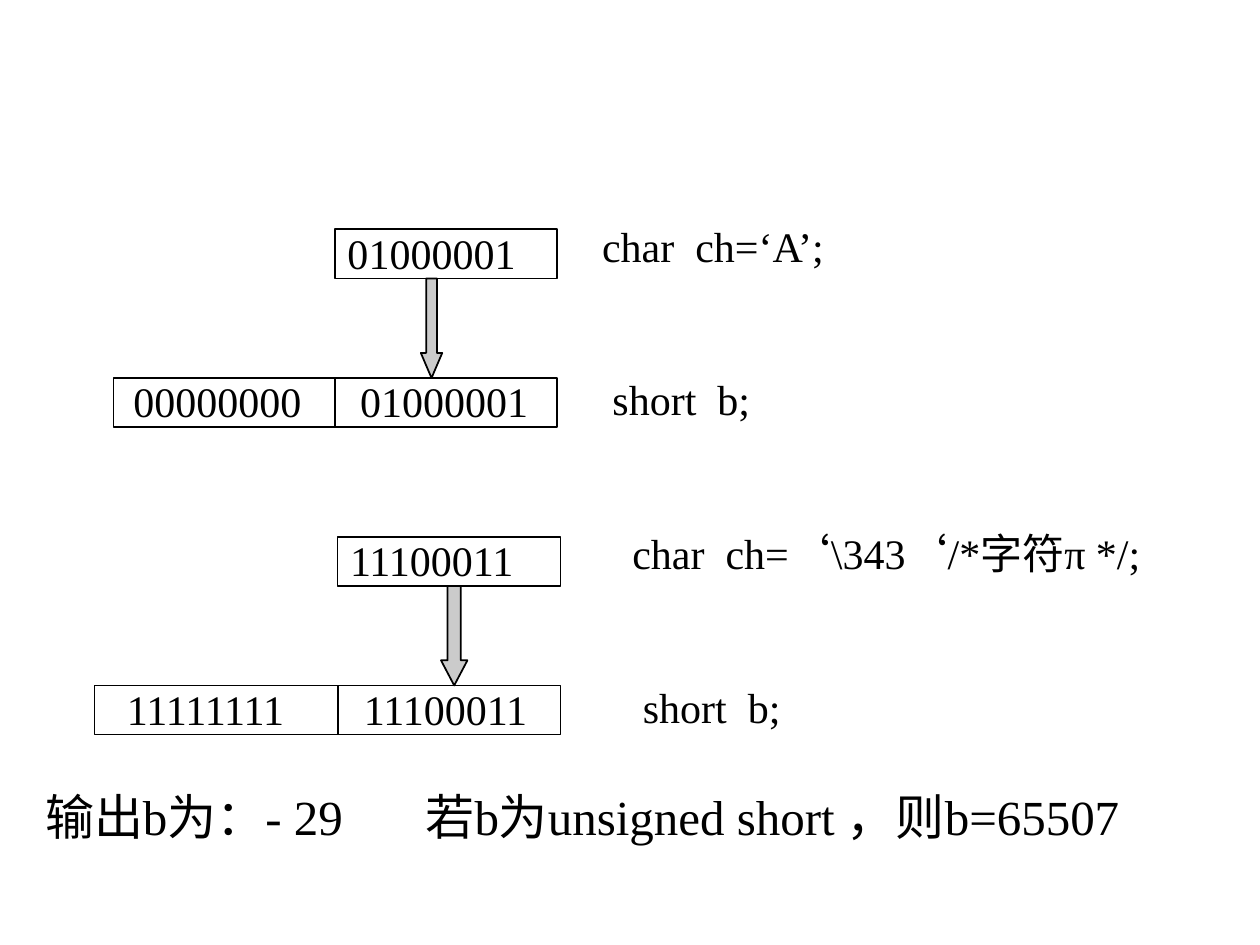
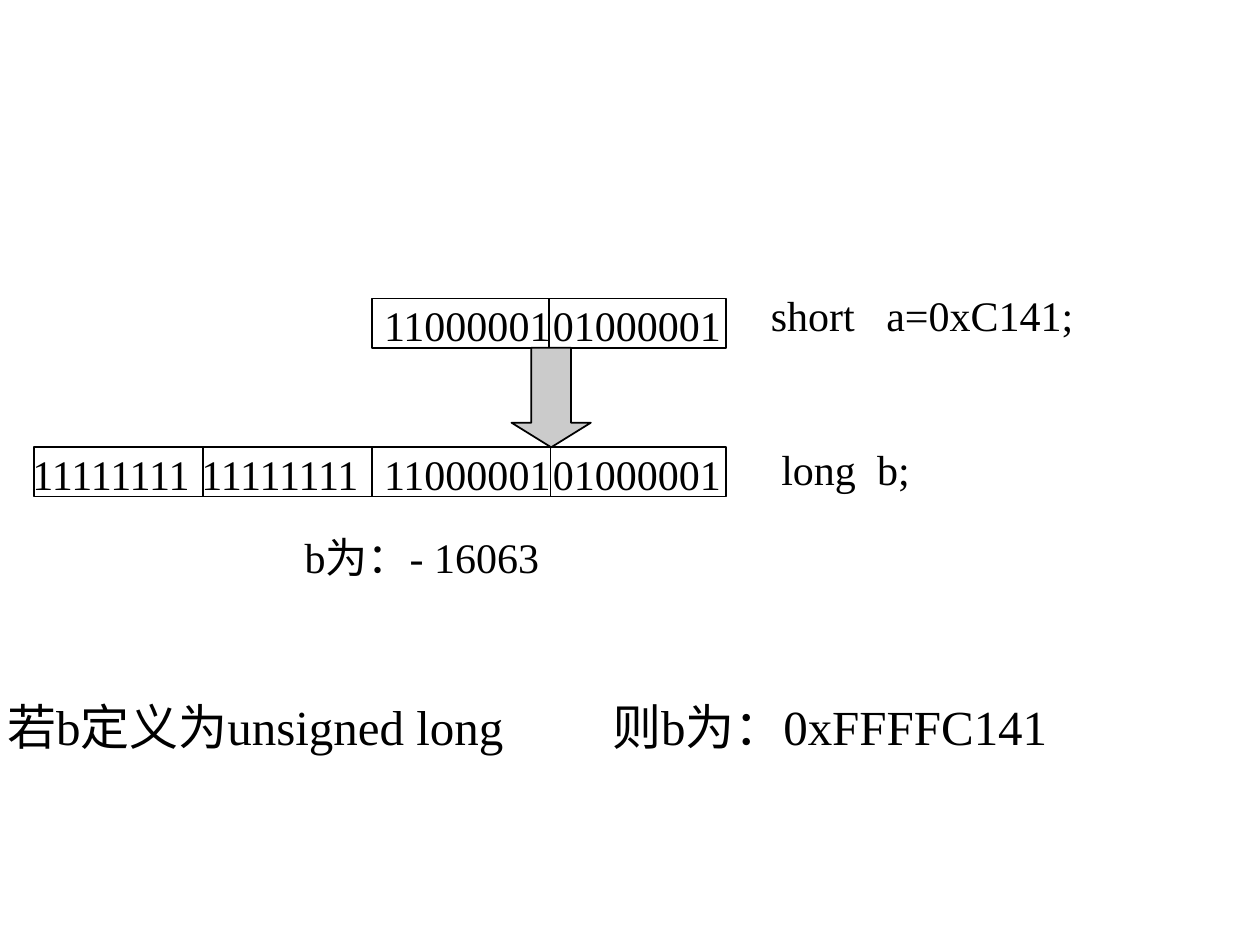
"""Builds two slides on how char and short values are widened by sign extension."""
import pptx
import pptx.dml.color
import pptx.enum.shapes
import pptx.oxml.ns
import pptx.oxml.xmlchemy
import pptx.util

BLACK = pptx.dml.color.RGBColor(0x00, 0x00, 0x00)
GRAY = pptx.dml.color.RGBColor(0xCB, 0xCB, 0xCB)
SHAPE = pptx.enum.shapes.MSO_SHAPE

deck = pptx.Presentation()
deck.slide_width = pptx.util.Inches(10)
deck.slide_height = pptx.util.Inches(7.5)
COLUMN = deck.slide_width / 100
ROW = deck.slide_height / 75

BAR_ROWS = 3.9
BAR_STEP = 11.8
LABEL_RISE = 1.2
WORD_COLUMNS = 16.4


def add_text(page, left, top, width, lines, size=24, tab=None):
    """Adds a text box with one paragraph per line, the later ones set lower."""
    box = page.shapes.add_textbox(
        round(left * COLUMN), round(top * ROW), round(width * COLUMN), round(5 * ROW))
    box.text_frame.word_wrap = True
    box.text_frame.text = "\n".join(lines)
    for index, para in enumerate(box.text_frame.paragraphs):
        if index:
            para.space_before = pptx.util.Pt(59)
        if tab:
            stops = pptx.oxml.xmlchemy.OxmlElement("a:tabLst")
            stop = pptx.oxml.xmlchemy.OxmlElement("a:tab")
            stop.set("pos", str(round(tab * COLUMN)))
            stop.set("algn", "l")
            stops.append(stop)
            para._p.get_or_add_pPr().append(stops)
        for span in para.runs:
            style = {"name": "Times New Roman", "size": pptx.util.Pt(size)}
            for key, value in style.items():
                setattr(span.font, key, value)
            span.font.color.rgb = BLACK


def add_block(page, kind, left, top, width, height, fill=None):
    """Adds an outlined shape, left hollow when no fill is given."""
    block = page.shapes.add_shape(
        kind, round(left * COLUMN), round(top * ROW), round(width * COLUMN), round(height * ROW))
    block.shadow.inherit = False
    if fill is None:
        block.fill.background()
    else:
        block.fill.solid()
        block.fill.fore_color.rgb = fill
    block.line.color.rgb = BLACK
    block.line.width = pptx.util.Pt(1)
    return block


slides = [
    {
        "diagrams": [
            {
                "top": 18.2, "label": (46.8, 32.7, ["char  ch=‘A’;", " short  b;"]),
                "arrow": (33.4, 1.7, 1.17), "word_rise": 0.65,
                "bars": [
                    (26.6, 17.6, [], [(26.6, "01000001")]),
                    (9, 35.2, [26.6], [(9.6, "00000000"), (27.6, "01000001")]),
                ],
            },
            {
                "top": 42.6, "label": (49.2, 50.8, ["char  ch=‘\\343‘/*字符π */;", " short  b;"]),
                "arrow": (35, 2.1, 0.95), "word_rise": 0.65,
                "bars": [
                    (26.8, 17.7, [], [(26.8, "11100011")]),
                    (7.5, 37, [26.8], [(9.1, "11111111"), (27.9, "11100011")]),
                ],
            },
        ],
        "notes": [(2.6, 61.9, 96, "输出b为：- 29\t若b为unsigned short ，则b=65507", 28, 30.2)],
    },
    {
        "diagrams": [
            {
                "top": 23.7, "label": (60.2, 32.7, ["short   a=0xC141;", " long  b;"]),
                "arrow": (40.6, 6.3, 0.31), "word_rise": 0.4,
                "bars": [
                    (29.5, 28.1, [43.6], [(29.5, "11000001"), (42.9, "01000001")]),
                    (2.7, 54.9, [16.1, 29.5, 43.7],
                     [(1.6, "11111111"), (15, "11111111"), (29.5, "11000001"), (42.9, "01000001")]),
                ],
            },
        ],
        "notes": [
            (23.2, 41.7, 23, "b为：- 16063", 24, None),
            (-0.4, 54.8, 92, "若b定义为unsigned long\t则b为：0xFFFFC141", 28, 48),
        ],
    },
]

for slide in slides:
    page = deck.slides.add_slide(deck.slide_layouts[6])
    for diagram in slide["diagrams"]:
        label_left, label_width, label_lines = diagram["label"]
        add_text(page, label_left, diagram["top"] - LABEL_RISE, label_width, label_lines)

        for row, (left, width, dividers, words) in enumerate(diagram["bars"]):
            top = diagram["top"] + row * BAR_STEP
            bar = add_block(page, SHAPE.RECTANGLE, left, top, width, BAR_ROWS)
            for x in dividers:
                divider = page.shapes.add_connector(
                    pptx.enum.shapes.MSO_CONNECTOR.STRAIGHT, round(x * COLUMN), round(top * ROW),
                    round(x * COLUMN), round((top + BAR_ROWS) * ROW))
                if abs(x - left - width / 2) < 0.1:
                    divider.begin_connect(bar, 0)
                    divider.end_connect(bar, 2)
                divider.line.color.rgb = BLACK
                divider.line.width = pptx.util.Pt(1)
                divider._element.find(pptx.oxml.ns.qn("p:spPr")).append(
                    pptx.oxml.xmlchemy.OxmlElement("a:effectLst"))
            for word_left, word in words:
                add_text(page, word_left, top - diagram["word_rise"], WORD_COLUMNS, [word])

        arrow_left, arrow_width, head_share = diagram["arrow"]
        arrow = add_block(page, SHAPE.DOWN_ARROW, arrow_left, diagram["top"] + BAR_ROWS,
                          arrow_width, BAR_STEP - BAR_ROWS, GRAY)
        arrow.adjustments[0] = 0.5
        arrow.adjustments[1] = head_share

    for left, top, width, sentence, size, tab in slide["notes"]:
        add_text(page, left, top, width, [sentence], size, tab)

deck.save("out.pptx")
